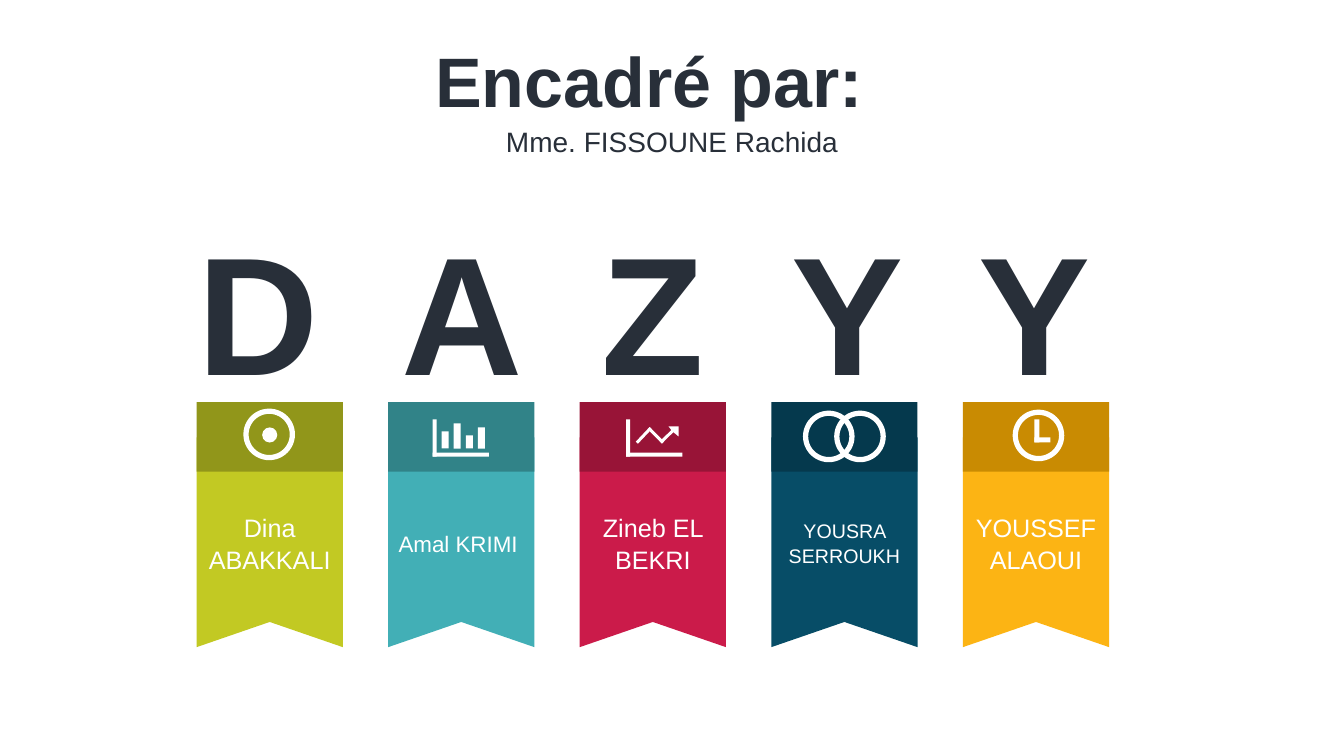
from pptx import Presentation
from pptx.dml.color import RGBColor
from pptx.enum.shapes import MSO_SHAPE
from pptx.enum.text import MSO_ANCHOR, MSO_AUTO_SIZE, PP_ALIGN
from pptx.util import Inches, Pt

RECT, OVAL = MSO_SHAPE.RECTANGLE, MSO_SHAPE.OVAL
TOP, MIDDLE = MSO_ANCHOR.TOP, MSO_ANCHOR.MIDDLE
CENTER = PP_ALIGN.CENTER
NO_FIT = MSO_AUTO_SIZE.NONE

INK, WHITE = "282F39", "FFFFFF"
FONT = "Arial"
LEFT, PITCH, BANNER_W = 1.95, 1.9, 1.45
LETTER_Y, LETTER_W, LETTER_H = 1.87, 1.63, 2.12
BAND_Y, BAND_H = 3.99, 0.69
BANNER_Y, BANNER_H, NOTCH = 4.34, 2.08, 0.25
RING = 0.46


def rgb(value):
    return RGBColor.from_string(value)


def place(sp, x, y, w, h):
    sp.left, sp.top, sp.width, sp.height = (Inches(v) for v in (x, y, w, h))


def write(sp, text, size, color, bold=False, anchor=TOP):
    tf = sp.text_frame
    tf.word_wrap = True
    tf.auto_size = NO_FIT
    tf.vertical_anchor = anchor
    p = tf.paragraphs[0]
    p.alignment = CENTER
    p.line_spacing = 1.07
    p.space_before = Pt(0)
    r = p.add_run()
    r.text = text
    r.font.name = FONT
    r.font.size = Pt(size)
    r.font.bold = bold
    r.font.color.rgb = rgb(color)


def paint(sp, color):
    sp.shadow.inherit = False
    sp.fill.solid()
    sp.fill.fore_color.rgb = rgb(color)
    sp.line.fill.background()


def solid(shapes, kind, x, y, w, h, color=WHITE, angle=0):
    sp = shapes.add_shape(kind, *(Inches(v) for v in (x, y, w, h)))
    paint(sp, color)
    sp.rotation = angle


def polygon(shapes, points, color):
    start, *rest = [(Inches(x), Inches(y)) for x, y in points]
    builder = shapes.build_freeform(*start, scale=1.0)
    builder.add_line_segments(rest, close=True)
    sp = builder.convert_to_shape()
    paint(sp, color)
    return sp


def ring(shapes, x, y):
    sp = shapes.add_shape(OVAL, Inches(x), Inches(y), Inches(RING), Inches(RING))
    sp.shadow.inherit = False
    sp.fill.background()
    sp.line.color.rgb = rgb(WHITE)
    sp.line.width = Pt(3.75)


def axes(shapes, x, y):
    solid(shapes, RECT, x, y, 0.04, 0.37)
    solid(shapes, RECT, x, y + 0.33, 0.56, 0.04)


def target_icon(shapes, x, y):
    ring(shapes, x + 0.49, y + 0.09)
    solid(shapes, OVAL, x + 0.65, y + 0.25, 0.15, 0.15)


def bars_icon(shapes, x, y):
    axes(shapes, x + 0.44, y + 0.17)
    for i, h in enumerate((0.17, 0.25, 0.13, 0.21)):
        solid(shapes, RECT, x + 0.53 + 0.12 * i, y + 0.46 - h, 0.07, h)


def trend_icon(shapes, x, y):
    axes(shapes, x + 0.46, y + 0.17)
    for i, angle in enumerate((43.3, 134.7, 45.9)):
        solid(shapes, RECT, x + 0.62 + 0.12 * i, y + 0.23, 0.03, 0.2, angle=angle)
    tip = [(0.88, 0.24), (0.98, 0.24), (0.98, 0.34), (0.92, 0.29)]
    polygon(shapes, [(x + dx, y + dy) for dx, dy in tip], WHITE)


def circles_icon(shapes, x, y):
    for dx in (0.34, 0.65):
        ring(shapes, x + dx, y + 0.11)


def clock_icon(shapes, x, y):
    ring(shapes, x + 0.52, y + 0.1)
    solid(shapes, RECT, x + 0.71, y + 0.17, 0.05, 0.23)
    solid(shapes, RECT, x + 0.71, y + 0.35, 0.16, 0.05)


MEMBERS = [
    ("D", -0.2, "Dina ABAKKALI", 18, "C2C923", "91961A", target_icon),
    ("A", -0.08, "Amal KRIMI ", 16, "42AFB6", "318388", bars_icon),
    ("Z", -0.09, "Zineb EL BEKRI", 18, "CB1B4A", "981437", trend_icon),
    ("Y", -0.06, "YOUSRA SERROUKH", 14, "074D67", "05394D", circles_icon),
    ("Y", -0.1, "YOUSSEF ALAOUI", 18, "FCB414", "C98B02", clock_icon),
]


def heading(s):
    title, subtitle = s.placeholders
    place(title, 1.89, 0.26, 9.1, 0.94)
    write(title, "Encadré par:", 50, INK, bold=True)
    place(subtitle, 3.05, 1.16, 7.23, 0.44)
    write(subtitle, "Mme. FISSOUNE Rachida", 20, INK)


def member(s, x, letter, shift, name, size, color, dark, icon):
    box = s.shapes.add_textbox(0, 0, 0, 0)
    place(box, x + shift, LETTER_Y, LETTER_W, LETTER_H)
    write(box, letter, 120, INK, bold=True)

    right, bottom = x + BANNER_W, BANNER_Y + BANNER_H
    banner = polygon(s.shapes, [
        (x, BANNER_Y), (right, BANNER_Y), (right, bottom),
        (x + BANNER_W / 2, bottom - NOTCH), (x, bottom),
    ], color)
    write(banner, name, size, WHITE, anchor=MIDDLE)

    solid(s.shapes, RECT, x, BAND_Y, BANNER_W, BAND_H, dark)
    icon(s.shapes.add_group_shape().shapes, x, BAND_Y)


def main():
    prs = Presentation()
    prs.slide_width, prs.slide_height = Inches(13.33), Inches(7.5)
    s = prs.slides.add_slide(prs.slide_layouts[0])
    heading(s)
    for i, details in enumerate(MEMBERS):
        member(s, LEFT + PITCH * i, *details)
    prs.save("out.pptx")


if __name__ == "__main__":
    main()
